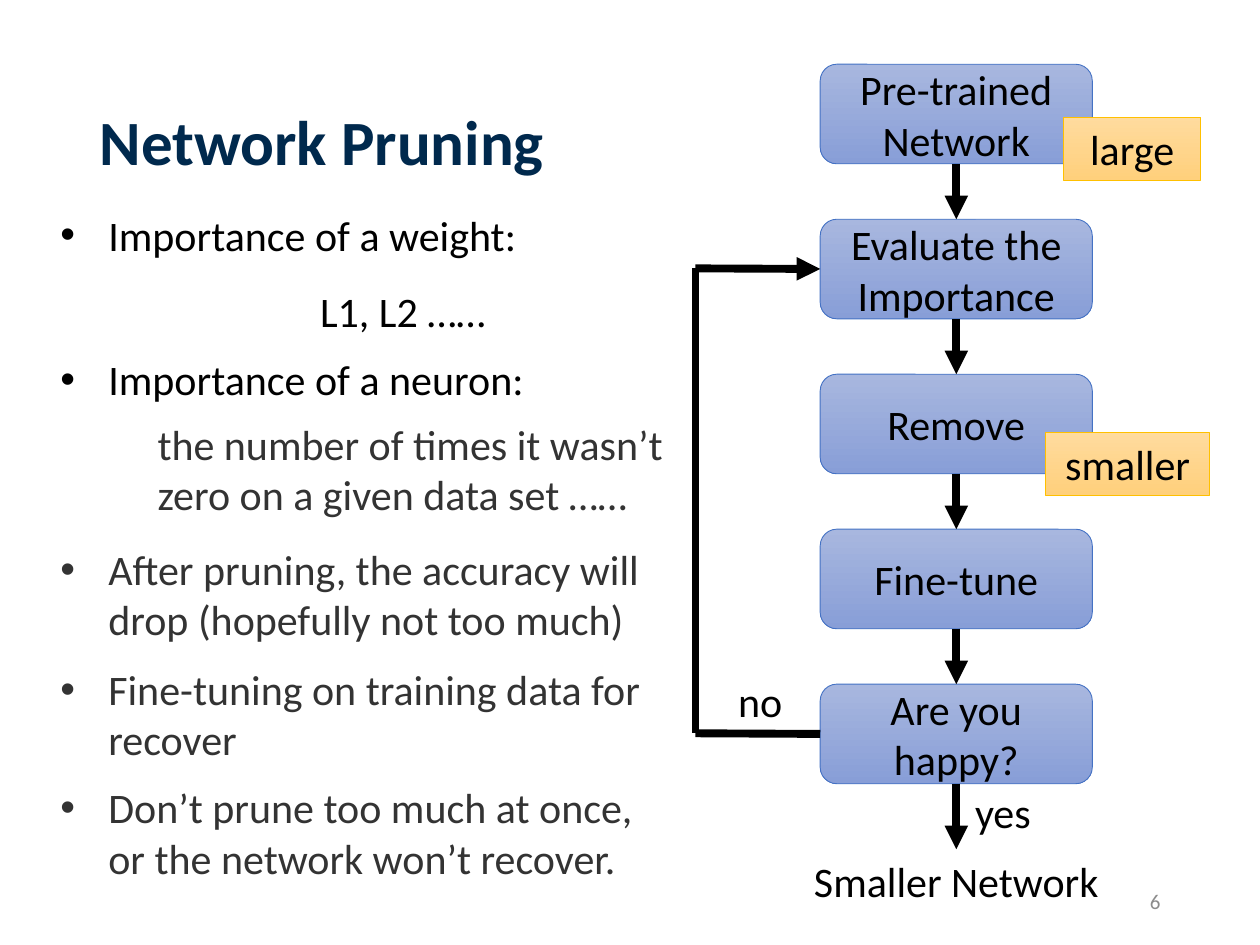
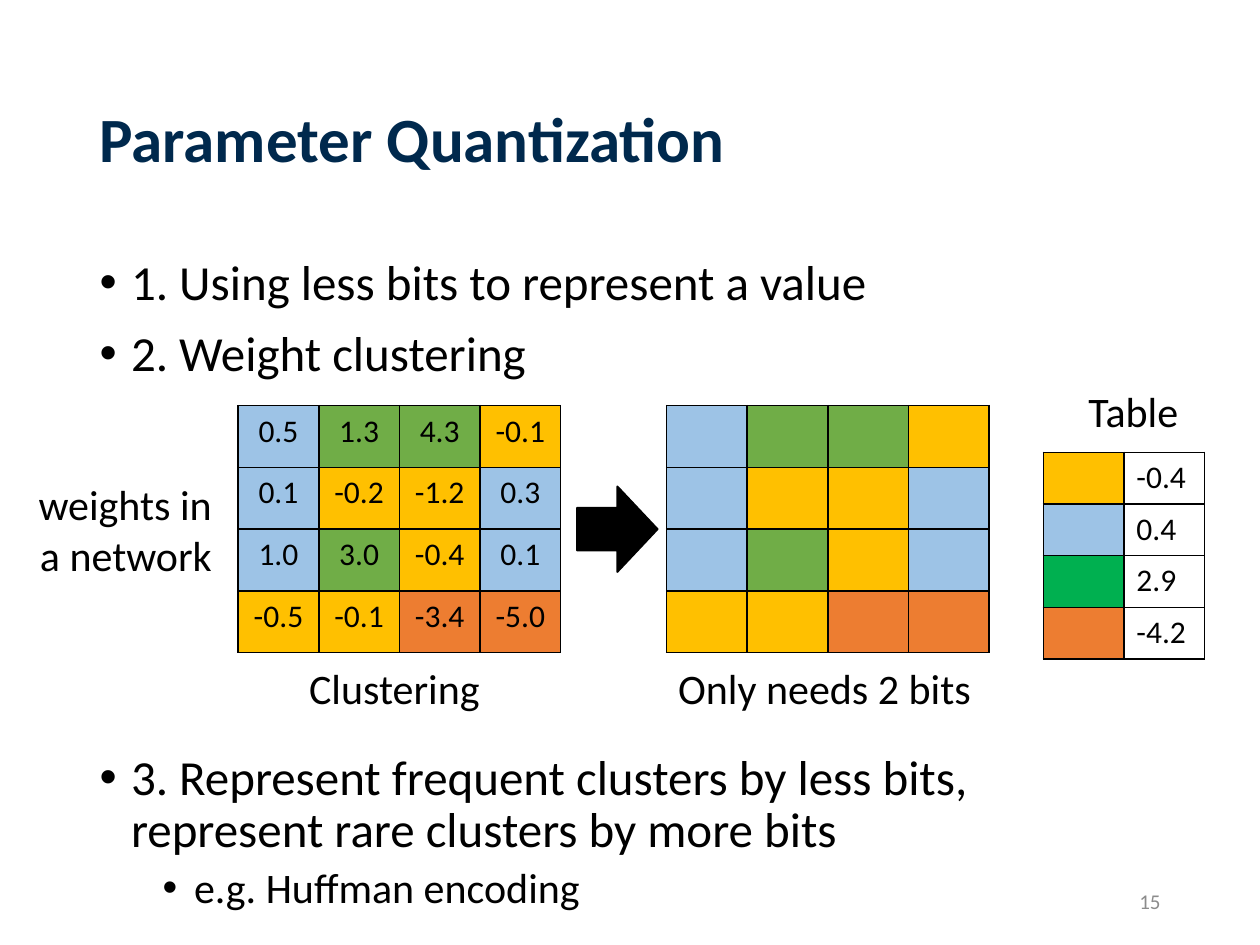
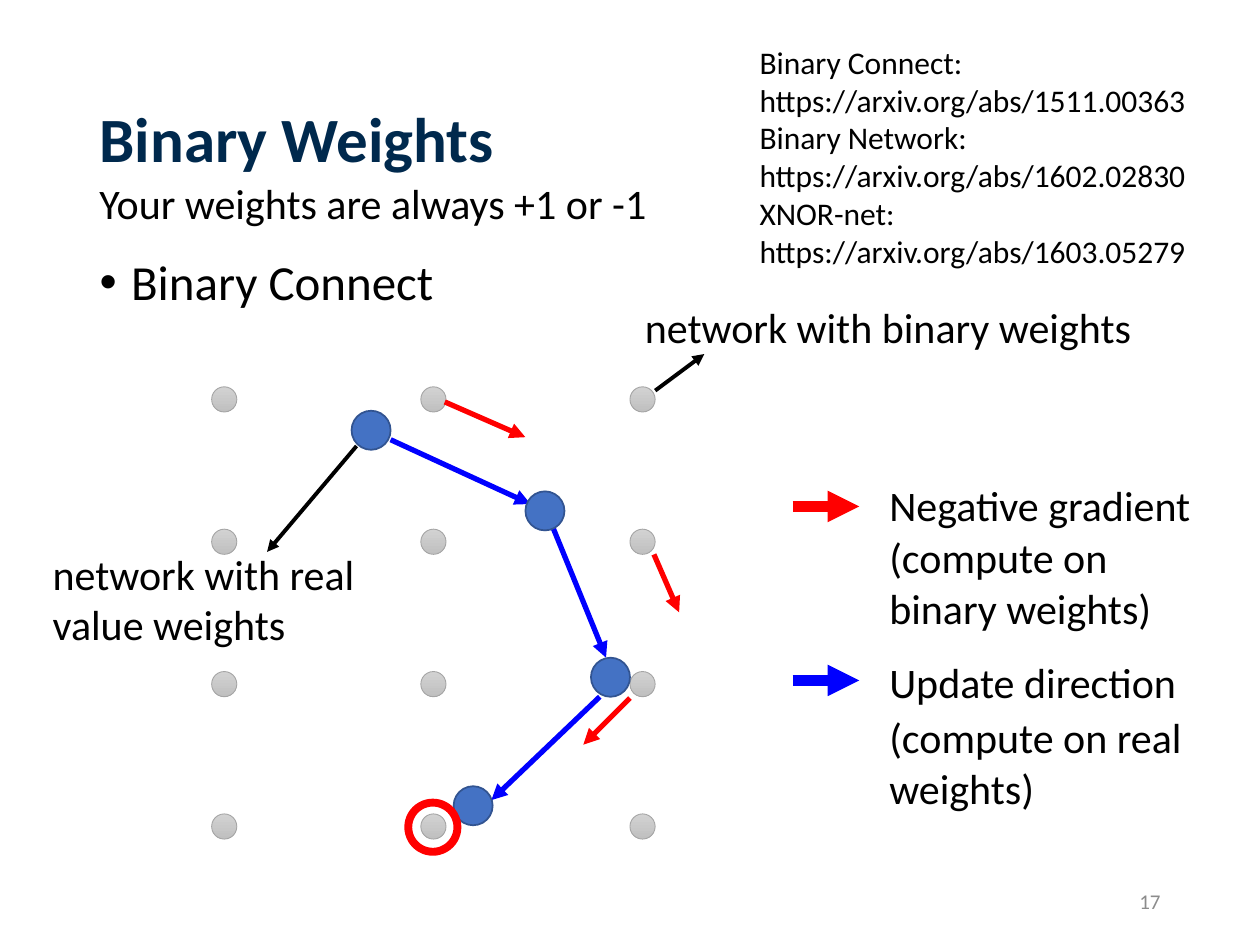
from pptx import Presentation
from pptx.dml.color import RGBColor
from pptx.enum.shapes import MSO_CONNECTOR, MSO_SHAPE
from pptx.enum.text import MSO_ANCHOR, MSO_AUTO_SIZE, PP_ALIGN
from pptx.oxml.ns import qn
from pptx.util import Pt
from lxml import etree

PX = 9144  # 100 px to the inch
LEFT, MID, RIGHT = PP_ALIGN.LEFT, PP_ALIGN.CENTER, PP_ALIGN.RIGHT
TOP, MIDDLE = MSO_ANCHOR.TOP, MSO_ANCHOR.MIDDLE
ROUND, RECT = MSO_SHAPE.ROUNDED_RECTANGLE, MSO_SHAPE.RECTANGLE
OVAL, ARROW = MSO_SHAPE.OVAL, MSO_SHAPE.RIGHT_ARROW
STRAIGHT = MSO_CONNECTOR.STRAIGHT
FACE = "Calibri"

BLACK = RGBColor(0, 0, 0)
WHITE = RGBColor(255, 255, 255)
NAVY = RGBColor(0x00, 0x29, 0x4D)
DARK = RGBColor(0x33, 0x33, 0x33)
GREY = RGBColor(0x8C, 0x8C, 0x8C)
RED = RGBColor(0xFF, 0, 0)
BLUE = RGBColor(0, 0, 0xFF)
STEEL = RGBColor(0x44, 0x72, 0xC4)
EDGE = RGBColor(0x32, 0x54, 0x91)
SILVER = RGBColor(0xA5, 0xA5, 0xA5)
SKY = RGBColor(0x9D, 0xC3, 0xE6)
GREEN = RGBColor(0x70, 0xAD, 0x47)
LEAF = RGBColor(0x00, 0xB0, 0x50)
GOLD = RGBColor(0xFF, 0xC0, 0x00)
RUST = RGBColor(0xED, 0x7D, 0x31)
STEP_FADE = (RGBColor(0xA8, 0xB7, 0xDF), RGBColor(0x88, 0x9E, 0xD7))
TAG_FADE = (RGBColor(0xFF, 0xDB, 0x9E), RGBColor(0xFF, 0xD0, 0x7C))
DOT_FADE = (RGBColor(0xD2, 0xD2, 0xD2), RGBColor(0xC0, 0xC0, 0xC0))

# List styles: level, left indent, hanging bullet, size, line spacing
MAIN = (0, 25, 25, 28, 0.9)
SUB = (1, 75, 25, 24, 0.9)
POINT = (0, 38, 38, 24, 1.0)
NORM = (0, 206, 0, 24, 1.0)
COUNT = (0, 77, 0, 24, 1.0)


def px(*nums):
    return [n * PX for n in nums]


def put(thing, **form):
    for name, value in form.items():
        setattr(thing, name, value)


def style(para, text, size, color, bold=False):
    run = para.add_run()
    run.text = text
    put(run.font, name=FACE, size=Pt(size), bold=bold)
    run.font.color.rgb = color


def write(frame, text, size=24, color=BLACK, align=LEFT, anchor=TOP, bold=False, pitch=1.0):
    put(frame, word_wrap=True, auto_size=MSO_AUTO_SIZE.NONE, vertical_anchor=anchor)
    for i, line in enumerate(text.split("\n")):
        para = frame.add_paragraph() if i else frame.paragraphs[0]
        put(para, alignment=align, line_spacing=pitch)
        style(para, line, size, color, bold)


def label(slide, text, x, y, w, h=50, **form):
    write(slide.shapes.add_textbox(*px(x, y, w, h)).text_frame, text, **form)


def shape(slide, kind, x, y, w, h, fill, edge, width):
    item = slide.shapes.add_shape(kind, *px(x, y, w, h))
    item.shadow.inherit = False
    if fill is None:
        item.fill.background()
    elif isinstance(fill, RGBColor):
        item.fill.solid()
        item.fill.fore_color.rgb = fill
    else:
        item.fill.gradient()
        item.fill.gradient_angle = 270
        for stop, color in zip(item.fill.gradient_stops, fill):
            stop.color.rgb = color
    item.line.color.rgb = edge
    item.line.width = Pt(width)
    return item


def line(slide, x1, y1, x2, y2, color=BLACK, width=4.5, tip=True):
    link = slide.shapes.add_connector(STRAIGHT, *px(x1, y1, x2, y2))
    link.line.color.rgb = color
    link.line.width = Pt(width)
    props = link._element.spPr
    if tip:
        etree.SubElement(props.find(qn("a:ln")), qn("a:tailEnd"), type="triangle")
    etree.SubElement(props, qn("a:effectLst"))
    return link


def place(holder, x, y, w, h):
    put(holder, **dict(zip(("left", "top", "width", "height"), px(x, y, w, h))))


def start(deck, title, number, y=40):
    slide = deck.slides.add_slide(deck.slide_layouts[1])
    place(slide.shapes.title, 69, y, 862, 145)
    write(slide.shapes.title.text_frame, title, size=36, color=NAVY,
          anchor=MIDDLE, bold=True, pitch=0.9)
    label(slide, number, 706, 695, 225, 40, size=12, color=GREY, align=RIGHT, anchor=MIDDLE)
    return slide


def points(slide, box, items):
    """Fill the body with (text, style, space before, colour) items."""
    body = slide.placeholders[1]
    place(body, *box)
    frame = body.text_frame
    put(frame, word_wrap=True, auto_size=MSO_AUTO_SIZE.NONE, vertical_anchor=TOP)
    for i, (text, (level, left, hang, size, pitch), gap, color) in enumerate(items):
        para = frame.add_paragraph() if i else frame.paragraphs[0]
        put(para, level=level, line_spacing=pitch, space_before=Pt(gap), alignment=LEFT)
        props = para._p.get_or_add_pPr()
        props.set("marL", str(left * PX))
        props.set("indent", str(-hang * PX))
        if hang:
            etree.SubElement(props, qn("a:buFont"), typeface="Arial")
            etree.SubElement(props, qn("a:buChar"), char="•")
        else:
            etree.SubElement(props, qn("a:buNone"))
        style(para, text, size, color)


# Flow chart of the pruning loop
def flow(slide, x, y):
    wide, high, pitch = 216, 79, 123
    names = ("Pre-trained\nNetwork", "Evaluate the Importance", "Remove",
             "Fine-tune", "Are you happy?")
    steps = []
    for i, name in enumerate(names):
        step = shape(slide, ROUND, x, y + i * pitch, wide, high, STEP_FADE, STEEL, 0.5)
        write(step.text_frame, name, align=MID, anchor=MIDDLE)
        steps.append(step)
    mid = x + wide // 2
    for a, b in zip(steps, steps[1:]):
        link = line(slide, mid, y, mid, y + pitch)
        link.begin_connect(a, 2)
        link.end_connect(b, 0)
    line(slide, mid, y + 571, mid, y + 623).begin_connect(steps[-1], 2)
    label(slide, "Smaller Network", x - 34, y + 623, 284, align=MID)
    label(slide, "yes", x + 113, y + 568, 86)

    # Way back to the second step
    back, high_y, low_y = x - 99, y + 162, y + 531
    line(slide, back, high_y, back, low_y, tip=False)
    line(slide, x, low_y, back, low_y, tip=False).begin_connect(steps[-1], 1)
    line(slide, back, high_y, x, high_y).end_connect(steps[1], 1)
    label(slide, "no", x - 75, y + 480, 86)

    for name, dx, dy, w in (("large", 193, 42, 109), ("smaller", 179, 292, 130)):
        tag = shape(slide, RECT, x + dx, y + dy, w, 50, TAG_FADE, GOLD, 0.5)
        write(tag.text_frame, name, align=MID)


def border(cell):
    props = cell._tc.get_or_add_tcPr()
    for side in ("a:lnL", "a:lnR", "a:lnT", "a:lnB"):
        edge = etree.SubElement(props, qn(side), w=str(Pt(1)))
        paint = etree.SubElement(edge, qn("a:solidFill"))
        etree.SubElement(paint, qn("a:srgbClr"), val=str(BLACK))


def grid(slide, x, y, high, fills, words=None, align=MID):
    rows, cols, wide = len(fills), len(fills[0]), 64
    table = slide.shapes.add_table(rows, cols, *px(x, y, cols * wide, rows * high)).table
    put(table, first_row=False, horz_banding=False)
    for col in table.columns:
        col.width = wide * PX
    for r, row in enumerate(table.rows):
        row.height = high * PX
        for c, cell in enumerate(row.cells):
            border(cell)
            cell.fill.solid()
            cell.fill.fore_color.rgb = fills[r][c]
            if words and words[r][c]:
                para = cell.text_frame.paragraphs[0]
                para.alignment = align
                style(para, words[r][c], 18, BLACK)


# Weights, their clusters and the code table
def cluster(slide, x, y):
    fills = ((SKY, GREEN, GREEN, GOLD), (SKY, GOLD, GOLD, SKY),
             (SKY, GREEN, GOLD, SKY), (GOLD, GOLD, RUST, RUST))
    weights = (("0.5", "1.3", "4.3", "-0.1"), ("0.1", "-0.2", "-1.2", "0.3"),
               ("1.0", "3.0", "-0.4", "0.1"), ("-0.5", "-0.1", "-3.4", "-5.0"))
    codes = ((GOLD, "-0.4"), (SKY, "0.4"), (LEAF, "2.9"), (RUST, "-4.2"))
    label(slide, "weights in a network", x - 189, y + 53, 178, 91, align=RIGHT)
    grid(slide, x, y, 49, fills, weights)
    label(slide, "Clustering", x + 35, y + 199, 178, align=MID)
    shape(slide, ARROW, x + 269, y + 64, 64, 68, BLACK, BLACK, 1)
    grid(slide, x + 340, y, 49, fills)
    label(slide, "Only needs 2 bits", x + 332, y + 199, 267, align=MID)
    label(slide, "Table", x + 639, y - 21, 143, align=MID)
    grid(slide, x + 639, y + 37, 41, [(color, WHITE) for color, _ in codes],
         [("", value) for _, value in codes], LEFT)


# Path of the real weights among the binary ones
def plot(slide, x, y):
    for r in range(4):
        for c in range(3):
            shape(slide, OVAL, x + c * 166, y + r * 113, 20, 20, DOT_FADE, SILVER, 0.5)
    arrows = (
        (BLACK, 2.25, ((352, 3, 391, -26), (115, 47, 44, 131))),
        (RED, 3, ((185, 12, 249, 40), (351, 133, 371, 179), (332, 247, 295, 284))),
        (BLUE, 3, ((142, 42, 253, 93), (271, 112, 313, 215), (308, 246, 222, 328))),
    )
    for color, width, ends in arrows:
        for x1, y1, x2, y2 in ends:
            line(slide, x + x1, y + y1, x + x2, y + y2, color, width)
    for dx, dy in ((111, 19), (249, 83), (301, 215), (192, 317)):
        shape(slide, OVAL, x + dx, y + dy, 31, 31, STEEL, EDGE, 1)
    shape(slide, OVAL, x + 156, y + 330, 39, 39, None, RED, 4.5)
    label(slide, "network with binary weights", x + 334, y - 73, 450)
    label(slide, "network with real value weights", x - 136, y + 123, 280, 91)


# Key to the arrow colours
def key(slide, x, y):
    rows = ((0, RED, 26, "Negative gradient", 41, "(compute on binary weights)"),
            (140, BLUE, 24, "Update direction", 44, "(compute on real weights)"))
    for dy, color, mid, head, drop, note in rows:
        top = y + dy
        line(slide, x, top + mid, x + 53, top + mid, color, 6)
        label(slide, head, x + 67, top, 300)
        label(slide, note, x + 67, top + drop, 266, 91)


def main():
    deck = Presentation()
    deck.slide_width, deck.slide_height = px(1000, 750)

    slide = start(deck, "Network Pruning", "6", 43)
    points(slide, (38, 161, 502, 552), (
        ("Importance of a weight:", POINT, 0, BLACK),
        ("L1, L2 ……", NORM, 15, BLACK),
        ("Importance of a neuron:", POINT, 10, BLACK),
        ("the number of times it wasn’t zero on a given data set ……", COUNT, 8, DARK),
        ("After pruning, the accuracy will drop (hopefully not too much)", POINT, 14, DARK),
        ("Fine-tuning on training data for recover", POINT, 11, DARK),
        ("Don’t prune too much at once, or the network won’t recover.", POINT, 10, DARK),
    ))
    flow(slide, 651, 51)

    slide = start(deck, "Parameter Quantization", "15")
    points(slide, (69, 200, 862, 535), (
        ("1. Using less bits to represent a value", MAIN, 0, BLACK),
        ("2. Weight clustering", MAIN, 10, BLACK),
        ("3. Represent frequent clusters by less bits, represent rare clusters by more bits",
         MAIN, 212, BLACK),
        ("e.g. Huffman encoding", SUB, 5, BLACK),
    ))
    cluster(slide, 189, 322)

    slide = start(deck, "Binary Weights", "17")
    points(slide, (69, 200, 862, 476), (("Binary Connect", MAIN, 0, BLACK),))
    label(slide, "Binary Connect: https://arxiv.org/abs/1511.00363\n"
          "Binary Network:\nhttps://arxiv.org/abs/1602.02830\n"
          "XNOR-net:\nhttps://arxiv.org/abs/1603.05279", 593, 29, 367, 192, size=18)
    label(slide, "Your weights are always +1 or -1", 69, 136, 540)
    plot(slide, 168, 307)
    key(slide, 629, 376)

    deck.save("out.pptx")


if __name__ == "__main__":
    main()
